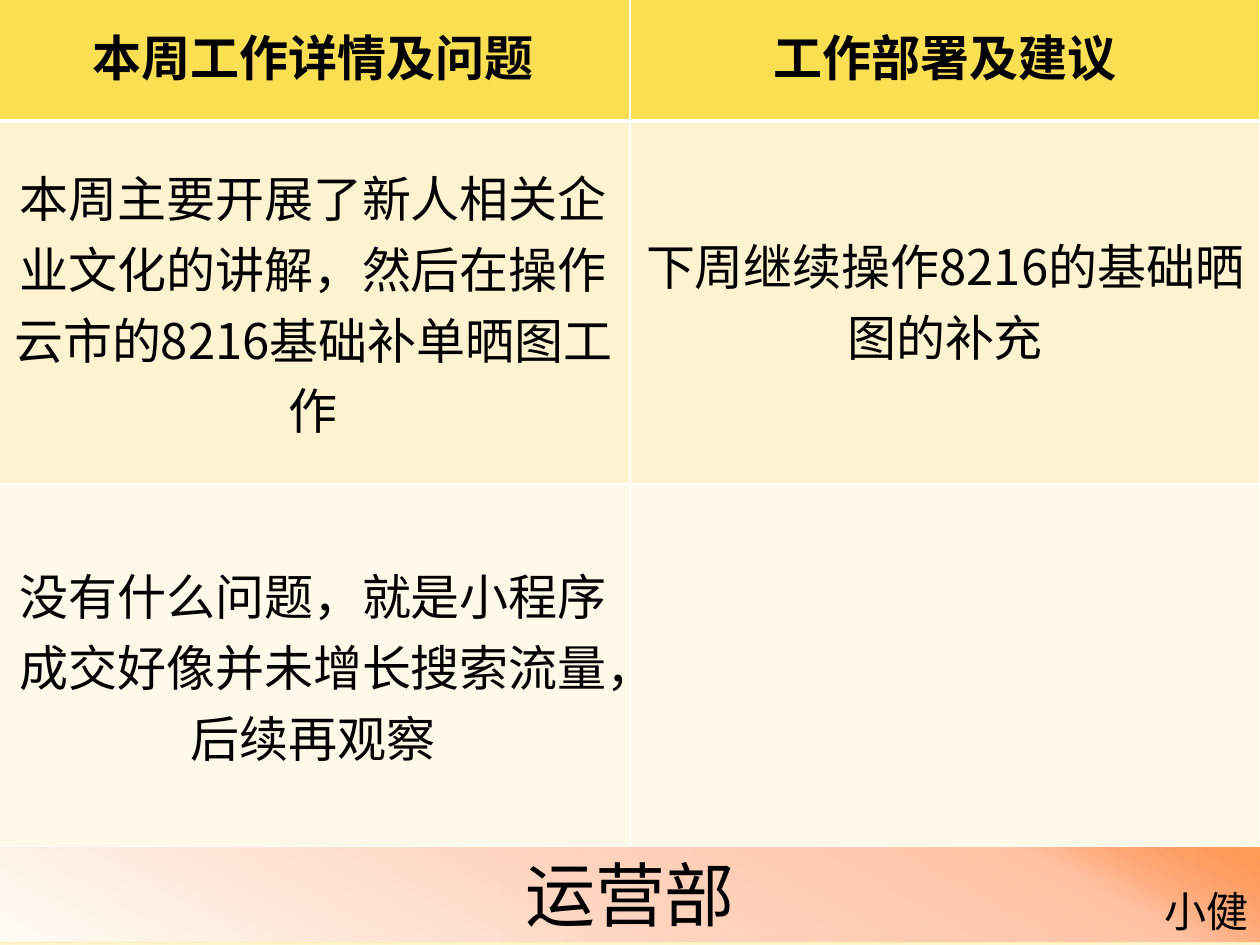
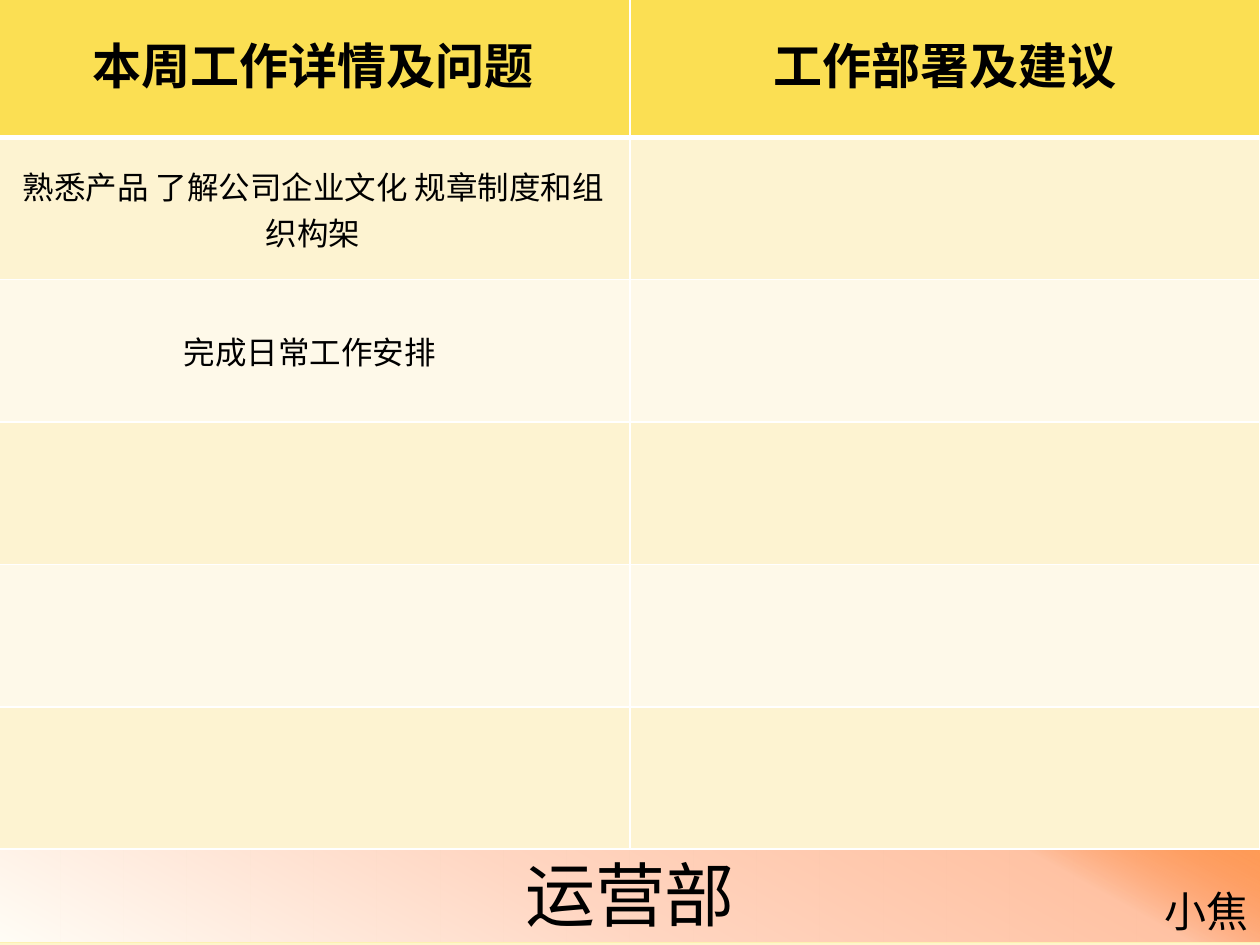
from dataclasses import dataclass

import pptx
import pptx.dml.color
import pptx.enum.shapes
import pptx.enum.text
import pptx.oxml
import pptx.oxml.ns
import pptx.util
from lxml import etree

Inches = pptx.util.Inches
Pt = pptx.util.Pt
qn = pptx.oxml.ns.qn
Align = pptx.enum.text.PP_ALIGN

FONT = "Noto Sans CJK SC"
INK = "000000"
BORDER = "FFFFFF"
HEADER_FILL = "FBDF53"
BAND_FILLS = ("FDF3D1", "FEF9E9")
BAND_LINE = "FDF1B2"
HEADERS = ("本周工作详情及问题", "工作部署及建议")
COLUMN_WIDTHS = (5.03, 5)
DEPARTMENT = "运营部"


@dataclass(frozen=True)
class Stop:
    position: int
    color: str
    opacity: int = 100


@dataclass(frozen=True)
class Report:
    author: str
    header_height: float
    row_height: float
    text_size: int
    rows: tuple[tuple[str, str], ...]


PAGE_STOPS = (
    Stop(0, "FFFDF6"), Stop(74, "FDF1B2"), Stop(83, "FDF1B2"), Stop(100, "FEF5CB"),
)
FOOTER_STOPS = (
    Stop(0, "FFFDF6"), Stop(45, "FFD6C2"), Stop(83, "FFC2A3"), Stop(100, "FF5D0D", 58),
)

REPORTS = (
    Report("小健", 1, 2.88, 28, (
        ("本周主要开展了新人相关企业文化的讲解，然后在操作云市的8216基础补单晒图工作",
         "下周继续操作8216的基础晒图的补充"),
        ("没有什么问题，就是小程序成交好像并未增长搜索流量，后续再观察", ""),
    )),
    Report("小焦", 1.13, 1.13, 18, (
        ("熟悉产品 了解公司企业文化 规章制度和组织构架", ""),
        ("完成日常工作安排 ", ""),
        ("", ""),
        ("", ""),
        ("", ""),
    )),
)


def rgb(color: str) -> pptx.dml.color.RGBColor:
    return pptx.dml.color.RGBColor.from_string(color)


def write(frame, text: str, size: int, align, bold: bool = False) -> None:
    frame.text = text
    para = frame.paragraphs[0]
    para.alignment = align
    for span in para.runs:
        span.font.size = Pt(size)
        span.font.bold = bold
        span.font.name = FONT
        span.font.color.rgb = rgb(INK)
        east_asian = etree.SubElement(span.font._element, qn("a:ea"))
        east_asian.set("typeface", FONT)


def fill_gradient(fill, owner, stops: tuple[Stop, ...], clockwise: int) -> None:
    fill.gradient()
    fill.gradient_angle = 360 - clockwise
    stop_list = next(owner.iter(qn("a:gsLst")))
    for old in list(stop_list):
        stop_list.remove(old)
    for stop in stops:
        entry = etree.SubElement(stop_list, qn("a:gs"), pos=str(stop.position * 1000))
        color = etree.SubElement(entry, qn("a:srgbClr"), val=stop.color)
        if stop.opacity < 100:
            etree.SubElement(color, qn("a:alpha"), val=str(stop.opacity * 1000))


def draw_borders(cell, top: float, bottom: float) -> None:
    properties = cell._tc.get_or_add_tcPr()
    for side, width in (("L", 1), ("R", 1), ("T", top), ("B", bottom)):
        line = etree.SubElement(properties, qn(f"a:ln{side}"), w=str(Pt(width)))
        solid = etree.SubElement(line, qn("a:solidFill"))
        etree.SubElement(solid, qn("a:srgbClr"), val=BORDER)


def format_cell(cell, row: int, column: int, text: str, size: int) -> None:
    header = row == 0
    draw_borders(cell, 3 if row == 1 else 1, 3 if header else 1)
    cell.fill.solid()
    cell.fill.fore_color.rgb = rgb(HEADER_FILL if header else BAND_FILLS[(row - 1) % 2])
    if not text:
        return
    cell.vertical_anchor = pptx.enum.text.MSO_ANCHOR.MIDDLE
    if header or column == 1:
        cell.margin_left = cell.margin_right = cell.margin_top = Inches(0.01)
    write(cell.text_frame, text, size, Align.CENTER, header)


def add_footer(page, author: str) -> None:
    band = page.shapes.add_shape(
        pptx.enum.shapes.MSO_SHAPE.RECTANGLE,
        Inches(-0.02), Inches(6.71), Inches(10.04), Inches(0.77),
    )
    band.shadow.inherit = False
    fill_gradient(band.fill, band._element.spPr, FOOTER_STOPS, 299)
    band.line.color.rgb = rgb(BAND_LINE)
    band.line.width = Pt(0.75)
    write(band.text_frame, DEPARTMENT, 40, Align.CENTER)

    box = page.shapes.add_textbox(Inches(9.14), Inches(6.98), Inches(0.87), Inches(0.5))
    box.text_frame.word_wrap = False
    box.text_frame.auto_size = pptx.enum.text.MSO_AUTO_SIZE.SHAPE_TO_FIT_TEXT
    write(box.text_frame, author, 24, Align.RIGHT)


def add_report_table(page, report: Report) -> None:
    rows = (HEADERS, *report.rows)
    heights = [report.header_height] + [report.row_height] * len(report.rows)
    table = page.shapes.add_table(
        len(rows), len(HEADERS), Inches(-0.03), Inches(-0.04),
        Inches(sum(COLUMN_WIDTHS)), Inches(sum(heights)),
    ).table
    table.horz_banding = False
    for column, width in zip(table.columns, COLUMN_WIDTHS):
        column.width = Inches(width)
    for row, (texts, height) in enumerate(zip(rows, heights)):
        table.rows[row].height = Inches(height)
        size = 28 if row == 0 else report.text_size
        for column, text in enumerate(texts):
            format_cell(table.cell(row, column), row, column, text, size)


def add_report(deck, report: Report) -> None:
    page = deck.slides.add_slide(deck.slide_layouts[6])
    fill_gradient(page.background.fill, page._element, PAGE_STOPS, 90)
    add_footer(page, report.author)
    add_report_table(page, report)


deck = pptx.Presentation()
deck.slide_width = Inches(10)
deck.slide_height = Inches(7.5)
for report in REPORTS:
    add_report(deck, report)
deck.save("out.pptx")
